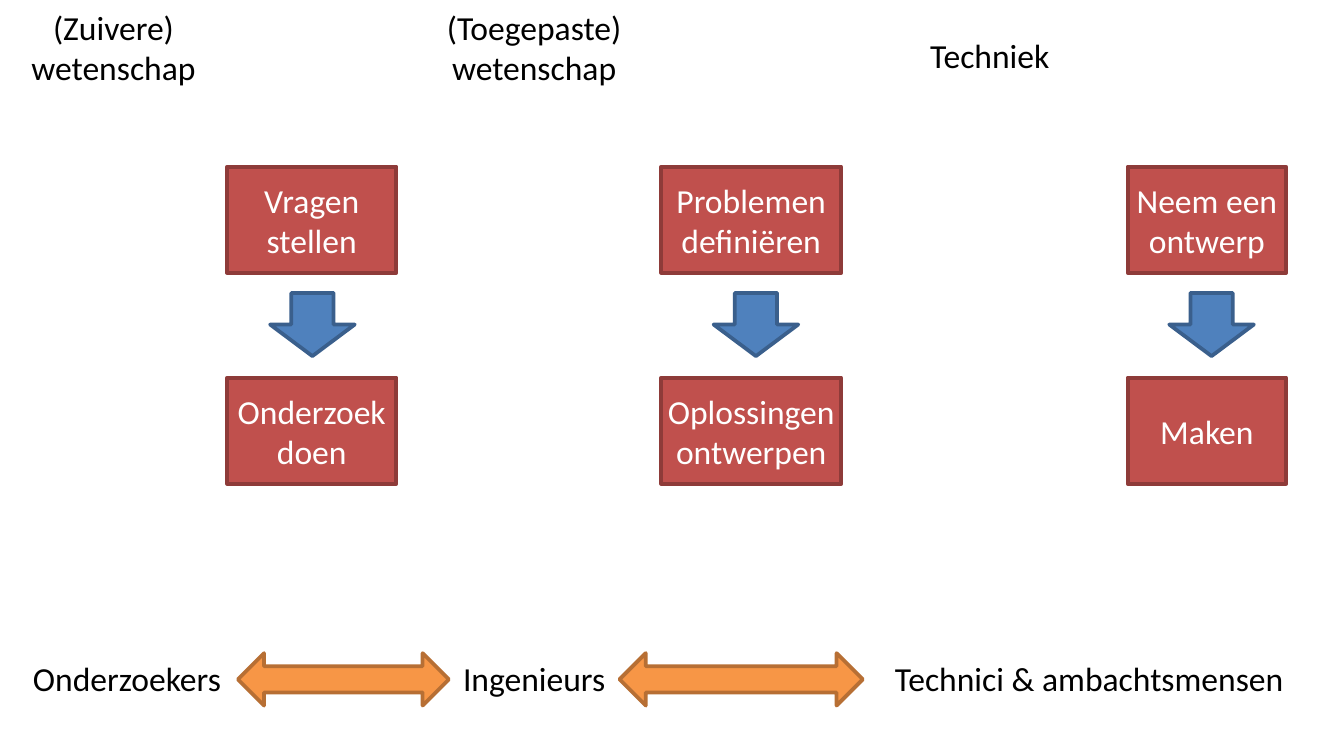
"""Builds a slide that compares science, applied science and technology."""
from dataclasses import dataclass

from pptx import Presentation
from pptx import util as u
from pptx.dml.color import RGBColor
from pptx.enum import shapes, text


@dataclass(frozen=True)
class Theme:
    font: str = "Calibri"
    size: int = 18
    line_width: int = 2
    dark: str = "000000"
    light: str = "FFFFFF"
    step: tuple = ("C0504D", "8E3B39")
    flow: tuple = ("4F81BD", "3A5F8C")
    exchange: tuple = ("F79646", "B76F34")


THEME = Theme()

LABELS = [
    ("(Zuivere) wetenschap", 0, 0, 1.69, 0.71),
    ("(Toegepaste) wetenschap", 3.11, 0, 1.73, 0.71),
    ("Techniek", 6.42, 0.21, 1.89, 0.4),
    ("Onderzoekers", 0.12, 4.85, 1.65, 0.4),
    ("Ingenieurs", 3.03, 4.85, 1.89, 0.4),
    ("Technici & ambachtsmensen", 6.41, 4.85, 3.39, 0.4),
]
EXCHANGES = [(1.77, 1.57), (4.61, 1.81)]
COLUMNS = [
    (1.69, 1.26, 2.01, ("Vragen stellen", "Onderzoek doen")),
    (4.92, 1.34, 5.31, ("Problemen definiëren", "Oplossingen ontwerpen")),
    (8.39, 1.18, 8.7, ("Neem een ontwerp", "Maken")),
]
STEP_TOPS = (1.24, 2.81)


def write(frame, words, color):
    """Put centred words into a text frame."""
    frame.word_wrap = True
    paragraph = frame.paragraphs[0]
    paragraph.text = words
    paragraph.alignment = text.PP_ALIGN.CENTER
    paragraph.font.name = THEME.font
    paragraph.font.size = u.Pt(THEME.size)
    paragraph.font.color.rgb = RGBColor.from_string(color)


def add_label(slide, words, *box):
    """Add a plain text label."""
    frame = slide.shapes.add_textbox(*map(u.Inches, box)).text_frame
    write(frame, words, THEME.dark)
    frame.auto_size = text.MSO_AUTO_SIZE.SHAPE_TO_FIT_TEXT


def add_block(slide, kind, colors, *box):
    """Add a filled and outlined preset shape."""
    shape = slide.shapes.add_shape(kind, *map(u.Inches, box))
    fill, line = map(RGBColor.from_string, colors)
    shape.shadow.inherit = False
    shape.fill.solid()
    shape.fill.fore_color.rgb = fill
    shape.line.color.rgb = line
    shape.line.width = u.Pt(THEME.line_width)
    return shape


def add_step(slide, words, *box):
    """Add a rectangle that names one step."""
    shape = add_block(slide, shapes.MSO_SHAPE.RECTANGLE, THEME.step, *box)
    frame = shape.text_frame
    frame.margin_left = frame.margin_right = u.Inches(0.04)
    frame.margin_top = frame.margin_bottom = u.Inches(0.04)
    frame.vertical_anchor = text.MSO_ANCHOR.MIDDLE
    write(frame, words, THEME.light)


def add_column(slide, left, width, arrow_left, steps):
    """Add two steps with a down arrow between them."""
    for top, words in zip(STEP_TOPS, steps):
        add_step(slide, words, left, top, width, 0.79)
    add_block(slide, shapes.MSO_SHAPE.DOWN_ARROW, THEME.flow,
              arrow_left, 2.18, 0.63, 0.47)


def main():
    """Build and save the slide."""
    presentation = Presentation()
    presentation.slide_width = u.Inches(10)
    presentation.slide_height = u.Inches(10 * 9 / 16)
    slide = presentation.slides.add_slide(presentation.slide_layouts[6])
    for label in LABELS:
        add_label(slide, *label)
    for left, width in EXCHANGES:
        add_block(slide, shapes.MSO_SHAPE.LEFT_RIGHT_ARROW, THEME.exchange,
                  left, 4.86, width, 0.39)
    for column in COLUMNS:
        add_column(slide, *column)
    presentation.save("out.pptx")


if __name__ == "__main__":
    main()
